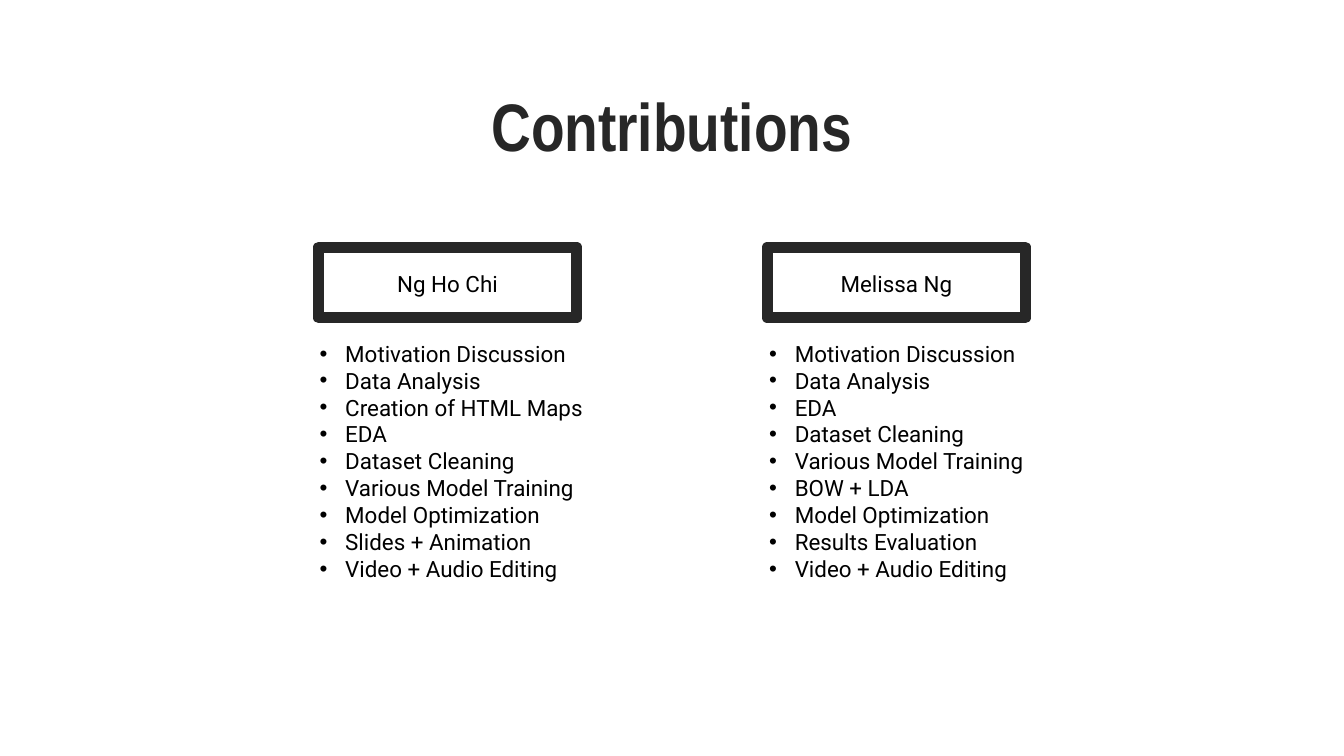
from lxml.etree import SubElement
from pptx import Presentation
from pptx.dml.color import RGBColor
from pptx.enum.shapes import MSO_SHAPE
from pptx.enum.text import MSO_ANCHOR, PP_ALIGN
from pptx.oxml.ns import qn
from pptx.util import Emu, Pt

EMU_PER_PX = 4572
COLORS = {"ink": "272727", "text": "000000"}
BULLET_INDENT = 38
CONTRIBUTORS = [
    ("Ng Ho Chi", 474, 456, 436, [
        "Motivation Discussion", "Data Analysis", "Creation of HTML Maps",
        "EDA", "Dataset Cleaning", "Various Model Training",
        "Model Optimization", "Slides + Animation", "Video + Audio Editing",
    ]),
    ("Melissa Ng", 1142, 1125, 472, [
        "Motivation Discussion", "Data Analysis", "EDA", "Dataset Cleaning",
        "Various Model Training", "BOW + LDA", "Model Optimization",
        "Results Evaluation", "Video + Audio Editing",
    ]),
]


def px(length):
    return Emu(length * EMU_PER_PX)


def color(key):
    return RGBColor.from_string(COLORS[key])


def add_text(slide, box, lines, size=12, font="Roboto", ink="text", bold=False,
             align=PP_ALIGN.LEFT):
    frame = slide.shapes.add_textbox(*map(px, box)).text_frame
    frame.word_wrap = True
    frame.text = "\n".join(lines)
    for paragraph in frame.paragraphs:
        paragraph.alignment = align
        for run in paragraph.runs:
            run.font.size = Pt(size)
            run.font.name = font
            run.font.bold = bold
            run.font.color.rgb = color(ink)
    return frame


def add_title(slide, title):
    frame = add_text(slide, (100, 72, 1800, 194), [title], 36, "Arial Narrow",
                     "ink", True, PP_ALIGN.CENTER)
    frame.vertical_anchor = MSO_ANCHOR.BOTTOM
    frame.margin_top = frame.margin_bottom = px(20)


def add_name_frame(slide, name, left):
    border = slide.shapes.add_shape(MSO_SHAPE.RECTANGLE,
                                    *map(px, (left, 368, 384, 105)))
    border.shadow.inherit = False
    border.fill.background()
    border.line.color.rgb = color("ink")
    border.line.width = Pt(6)
    add_text(slide, (left + 20, 392, 344, 60), [name], align=PP_ALIGN.CENTER)


def add_bullets(slide, tasks, left, width):
    frame = add_text(slide, (left, 496, width, 384), tasks)
    for paragraph in frame.paragraphs:
        properties = paragraph._p.get_or_add_pPr()
        properties.set("marL", str(px(BULLET_INDENT)))
        properties.set("indent", str(px(-BULLET_INDENT)))
        bullet_color = SubElement(properties, qn("a:buClr"))
        SubElement(bullet_color, qn("a:srgbClr"), val=COLORS["text"])
        SubElement(properties, qn("a:buFont"), typeface="Arial")
        SubElement(properties, qn("a:buChar"), char="•")


def main():
    presentation = Presentation()
    presentation.slide_width = px(2000)
    presentation.slide_height = px(1125)
    slide = presentation.slides.add_slide(presentation.slide_layouts[6])
    add_title(slide, "Contributions")
    for name, frame_left, list_left, list_width, tasks in CONTRIBUTORS:
        add_name_frame(slide, name, frame_left)
        add_bullets(slide, tasks, list_left, list_width)
    presentation.save("out.pptx")


if __name__ == "__main__":
    main()
